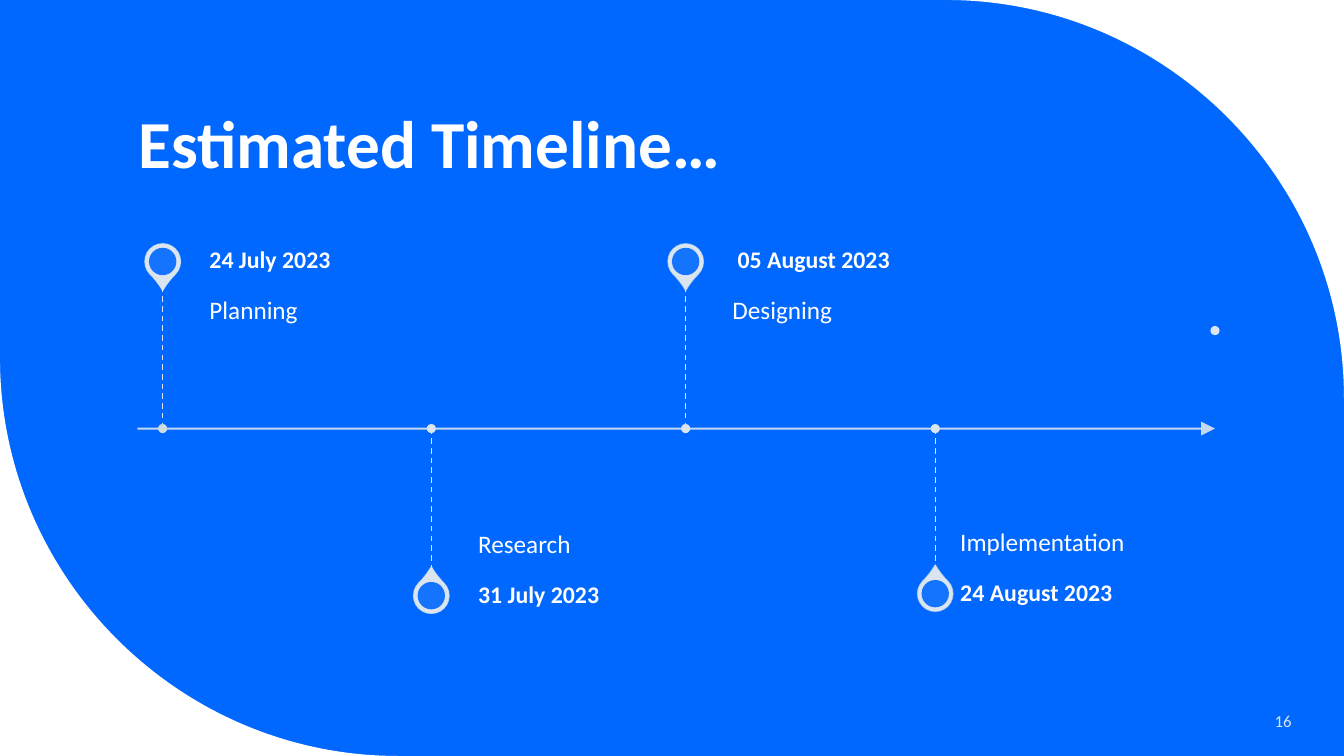
from dataclasses import dataclass

from lxml import etree
from pptx import Presentation
from pptx.dml.color import RGBColor
from pptx.enum.dml import MSO_LINE
from pptx.enum.shapes import MSO_CONNECTOR, MSO_SHAPE
from pptx.enum.text import MSO_ANCHOR, PP_ALIGN
from pptx.oxml.ns import qn
from pptx.util import Cm, Pt

TOP, MIDDLE, BOTTOM = MSO_ANCHOR.TOP, MSO_ANCHOR.MIDDLE, MSO_ANCHOR.BOTTOM
LEFT, RIGHT = PP_ALIGN.LEFT, PP_ALIGN.RIGHT
ELLIPSE, TEARDROP = MSO_SHAPE.OVAL, MSO_SHAPE.TEAR
STRAIGHT = MSO_CONNECTOR.STRAIGHT
DASH = MSO_LINE.DASH


@dataclass(frozen=True)
class Theme:
    font: str = "Calibri"
    blue: RGBColor = RGBColor(0x00, 0x68, 0xFF)
    white: RGBColor = RGBColor(0xFF, 0xFF, 0xFF)
    pale: RGBColor = RGBColor(0xDA, 0xE5, 0xEF)
    muted: RGBColor = RGBColor(0xD0, 0xDB, 0xE4)
    title: int = 48
    phase: int = 18
    date: int = 17
    number: int = 12


@dataclass(frozen=True)
class Milestone:
    """One stage; lengths in centimetres, opacity in percent."""
    phase: str
    date: str
    x: float
    above: bool
    outline_opacity: int
    text_gap: float = 1.18
    date_indent: float = 0
    lift: float = 0
    dot: RGBColor = Theme.pale


THEME = Theme()
WIDTH, HEIGHT = 33.87, 19.05
CORNER = 10.03
CURVE = 0.45  # share of the radius between a corner and its curve handles
AXIS_Y, AXIS_START, AXIS_END = 10.8, 3.46, 30.62
STEM, PIN_DISTANCE = 3.58, 4.21
PIN, EYE, DOT = 0.89, 0.69, 0.23
TEXT_WIDTH, DATE_HEIGHT = 6.43, 1.27
NEAR_PAD, FAR_PAD = 0.36, 0.48

MILESTONES = [
    Milestone("Planning", "24 July 2023", 4.1, True, 90, dot=THEME.muted),
    Milestone("Research", "31 July 2023", 10.87, False, 80),
    Milestone("Designing", "05 August 2023", 17.28, True, 70, date_indent=0.13),
    Milestone("Implementation", "24 August 2023", 23.57, False, 60,
              text_gap=0.63, lift=0.05),
]

prs = Presentation()
prs.slide_width, prs.slide_height = Cm(WIDTH), Cm(HEIGHT)
slide = prs.slides.add_slide(prs.slide_layouts[5])
shapes = slide.shapes


def set_opacity(fill_parent, percent: int) -> None:
    color = fill_parent.find(qn("a:solidFill"))[0]
    etree.SubElement(color, qn("a:alpha"), val=str(percent * 1000))


def paint(shape, color: RGBColor) -> None:
    shape.shadow.inherit = False
    shape.fill.solid()
    shape.fill.fore_color.rgb = color
    shape.line.fill.background()


def write(frame, text: str, size: int, color: RGBColor, bold: bool = False,
          anchor=MIDDLE, align=LEFT, spacing: float = 0.9) -> None:
    frame.word_wrap = True
    frame.vertical_anchor = anchor
    frame.text = text
    paragraph = frame.paragraphs[0]
    paragraph.alignment, paragraph.line_spacing = align, spacing
    font = paragraph.runs[0].font
    font.name, font.size, font.bold = THEME.font, Pt(size), bold
    font.color.rgb = color


def add_label(left: float, top: float, height: float, text: str, size: int,
              bold: bool = False, anchor=MIDDLE, pad_top: float = 0,
              pad_bottom: float = 0) -> None:
    frame = shapes.add_textbox(Cm(left), Cm(top), Cm(TEXT_WIDTH), Cm(height)).text_frame
    frame.margin_left, frame.margin_right = 0, Cm(0.3)
    frame.margin_top, frame.margin_bottom = Cm(pad_top), Cm(pad_bottom)
    write(frame, text, size, THEME.white, bold, anchor)


def add_centred(kind, x: float, y: float, size: float, color: RGBColor):
    shape = shapes.add_shape(kind, Cm(x - size / 2), Cm(y - size / 2), Cm(size), Cm(size))
    paint(shape, color)
    return shape


def add_line(x1: float, y1: float, x2: float, y2: float, width: float):
    line = shapes.add_connector(STRAIGHT, Cm(x1), Cm(y1), Cm(x2), Cm(y2))
    line.line.color.rgb = THEME.pale
    line.line.width = Pt(width)
    etree.SubElement(line._element.spPr, qn("a:effectLst"))
    return line


def add_corner(x: float, y: float, inward_x: int, inward_y: int) -> None:
    """White area between a slide corner and one curve."""
    reach_x, reach_y = inward_x * CORNER, inward_y * CORNER
    outline = [(x + reach_x, y), (x + CURVE * reach_x, y),
               (x, y + CURVE * reach_y), (x, y + reach_y)]
    builder = shapes.build_freeform(Cm(x), Cm(y))
    builder.add_line_segments([(Cm(px), Cm(py)) for px, py in outline], close=True)
    corner = builder.convert_to_shape()
    paint(corner, THEME.white)

    # Turn the last three segments into one Bézier curve
    segments = list(corner._element.iter(qn("a:lnTo")))
    curve = etree.Element(qn("a:cubicBezTo"))
    segments[0].addnext(curve)
    for segment in segments[1:4]:
        curve.append(segment[0])
        segment.getparent().remove(segment)


def add_milestone(stage: Milestone) -> None:
    side = -1 if stage.above else 1
    stem_end = AXIS_Y + side * STEM
    pin_y = AXIS_Y + side * PIN_DISTANCE - stage.lift

    # Pin
    pin = add_centred(TEARDROP, stage.x, pin_y, PIN, THEME.pale)
    pin.adjustments[0] = 1.15
    pin.rotation = 135 if stage.above else 315
    pin.line.color.rgb = THEME.pale
    pin.line.width = Pt(1)
    set_opacity(pin.line._ln, stage.outline_opacity)
    eye = add_centred(ELLIPSE, stage.x, pin_y, EYE, THEME.blue)
    set_opacity(eye._element.spPr, 90)

    # Phase beside the stem, date beside the pin
    text_x = stage.x + stage.text_gap
    top, bottom = sorted((AXIS_Y, stem_end))
    date_top = stem_end - (DATE_HEIGHT if stage.above else 0) - stage.lift
    pads = (NEAR_PAD, FAR_PAD) if stage.above else (FAR_PAD, NEAR_PAD)
    add_label(text_x, top - stage.lift, STEM, stage.phase, THEME.phase, False,
              TOP if stage.above else BOTTOM, *pads)
    add_label(text_x + stage.date_indent, date_top, DATE_HEIGHT, stage.date,
              THEME.date, True)

    # Stem and its point on the axis
    add_line(stage.x, top, stage.x, bottom, 1).line.dash_style = DASH
    add_centred(ELLIPSE, stage.x, AXIS_Y, DOT, stage.dot)


# Background with two rounded white corners
slide.background.fill.solid()
slide.background.fill.fore_color.rgb = THEME.blue
add_corner(WIDTH, 0, -1, 1)
add_corner(0, HEIGHT, 1, -1)

# Title
title = shapes.title
title.left, title.top, title.width, title.height = Cm(3.24), Cm(1.07), Cm(27.15), Cm(3.68)
write(title.text_frame, "Estimated Timeline…", THEME.title, THEME.white, True, BOTTOM)

# Timeline
axis = add_line(AXIS_START, AXIS_Y, AXIS_END, AXIS_Y, 1.5)
set_opacity(axis.line._ln, 90)
etree.SubElement(axis.line._ln, qn("a:tailEnd"), type="triangle", w="lg", len="lg")
for milestone in MILESTONES:
    add_milestone(milestone)
add_centred(ELLIPSE, AXIS_END, 8.33, DOT, THEME.pale)

# Slide number
page_number = shapes.add_textbox(Cm(28.2), Cm(17.65), Cm(4.6), Cm(1.02))
write(page_number.text_frame, "16", THEME.number, THEME.pale, align=RIGHT, spacing=1.0)

prs.save("out.pptx")
